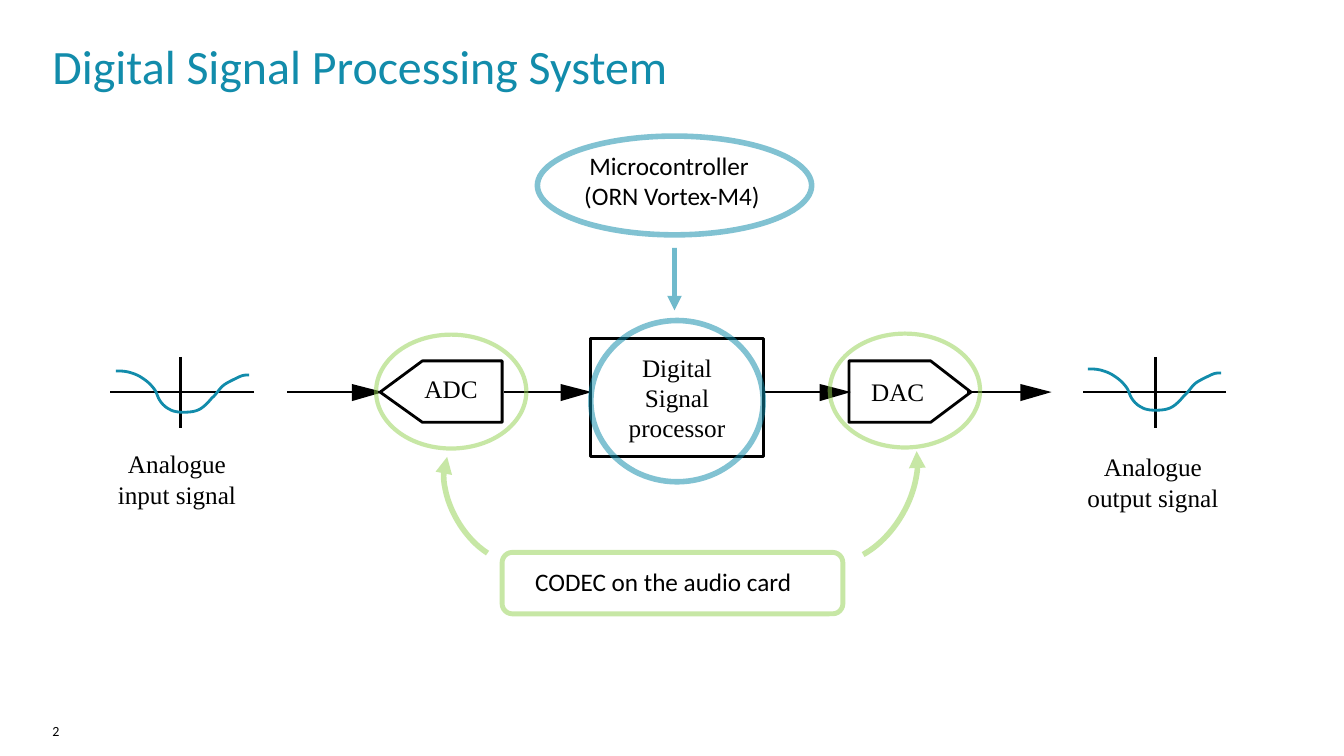
from dataclasses import dataclass

from lxml.etree import SubElement
from pptx import Presentation
from pptx.dml.color import RGBColor
from pptx.dml.line import LineFormat
from pptx.enum.shapes import MSO_CONNECTOR, MSO_SHAPE
from pptx.enum.text import MSO_ANCHOR, PP_ALIGN
from pptx.oxml.ns import qn
from pptx.shapes.autoshape import Shape
from pptx.shapes.connector import Connector
from pptx.slide import Slide
from pptx.util import Pt

PX = 9144
BLACK, WHITE, TEAL, GREEN = "000000", "FFFFFF", "128CAB", "92D050"
SANS, SERIF = "Calibri", "Times New Roman"
FLOW_Y = 389
WAVE = [(0, 0), (4, 0), (7, 0), (12, 1), (16, 2), (22, 4), (26, 7), (31, 10),
        (35, 14), (38, 18), (41, 22), (41, 26), (44, 30), (46, 33), (49, 36),
        (53, 38), (56, 40), (61, 41), (66, 41), (70, 41), (76, 41), (81, 39),
        (86, 37), (91, 32), (95, 27), (100, 23), (102, 18), (107, 14),
        (111, 11), (118, 8), (122, 6), (126, 4), (129, 4), (132, 4)]

Point = tuple[float, float]
Box = tuple[int, int, int, int]


@dataclass(frozen=True)
class Pen:
    """Colour, width in points and opacity in percent of an outline."""
    color: str
    width: float
    opacity: int = 100
    arrow: bool = False


@dataclass(frozen=True)
class Signal:
    """An analogue signal: its axes, its wave and its caption."""
    axis_x: int
    axis_left: int
    axis_right: int
    wave_left: int
    wave_top: int
    caption: str
    caption_left: int
    caption_top: int


@dataclass(frozen=True)
class Converter:
    """A pentagonal converter block with its label."""
    label: str
    flat_x: int
    shoulder_x: int
    tip_x: int
    label_left: int
    label_top: int


@dataclass(frozen=True)
class Marker:
    """A see-through outline that marks a part of the system."""
    kind: MSO_SHAPE
    box: Box
    pen: Pen


@dataclass(frozen=True)
class Bend:
    """A curved arrow with its rotation and its start and end adjustments."""
    box: Box
    rotation: float
    sweep: Point
    flipped: bool = False


AXIS_PEN, BLOCK_PEN, WAVE_PEN = Pen(BLACK, 1.5), Pen(BLACK, 2), Pen(TEAL, 2)
CODEC_PEN, CONTROLLER_PEN = Pen(GREEN, 3, 51), Pen(TEAL, 4, 53)
BEND_PEN = Pen(GREEN, 4, 51, arrow=True)

SIGNALS = [
    Signal(179, 109, 252, 115, 368, "Analogue input signal", 105, 445),
    Signal(1146, 1074, 1216, 1079, 366, "Analogue output signal", 1073, 448),
]
CONVERTERS = [
    Converter("ADC", 498, 419, 377, 421, 370),
    Converter("DAC", 842, 923, 963, 864, 373),
]
FLOWS = [(285, 380), (500, 587), (758, 844), (959, 1043)]
MARKERS = [
    Marker(MSO_SHAPE.OVAL, (373, 332, 149, 113), CODEC_PEN),
    Marker(MSO_SHAPE.OVAL, (823, 331, 149, 113), CODEC_PEN),
    Marker(MSO_SHAPE.ROUNDED_RECTANGLE, (498, 548, 338, 61), Pen(GREEN, 3.5, 51)),
    Marker(MSO_SHAPE.OVAL, (533, 135, 272, 98), CONTROLLER_PEN),
    Marker(MSO_SHAPE.OVAL, (586, 318, 171, 160), CONTROLLER_PEN),
]
BENDS = [
    Bend((422, 458, 131, 78), 239.4, (128.97, 207.28)),
    Bend((775, 437, 155, 98), 300.1, (127.98, 200.5), flipped=True),
]


def rgb(color: str) -> RGBColor:
    """Turn a hex string into a colour."""
    return RGBColor.from_string(color)


def apply_pen(line: LineFormat, pen: Pen) -> None:
    """Give a line its colour, width, opacity and arrowhead."""
    line.width = Pt(pen.width)
    line.color.rgb = rgb(pen.color)
    outline = line._get_or_add_ln()
    if pen.opacity < 100:
        color = outline.find(qn("a:solidFill")).find(qn("a:srgbClr"))
        SubElement(color, qn("a:alpha"), val=str(pen.opacity * 1000))
    if pen.arrow:
        SubElement(outline, qn("a:tailEnd"), type="triangle")


def style(shape: Shape, fill: str | None = None, pen: Pen | None = None) -> Shape:
    """Set the fill and outline of a shape and drop its shadow."""
    shape.shadow.inherit = False
    if fill:
        shape.fill.solid()
        shape.fill.fore_color.rgb = rgb(fill)
    else:
        shape.fill.background()
    if pen:
        apply_pen(shape.line, pen)
    else:
        shape.line.fill.background()
    return shape


def add_preset(slide: Slide, kind: MSO_SHAPE, box: Box, **look) -> Shape:
    """Draw a preset shape."""
    return style(slide.shapes.add_shape(kind, *(n * PX for n in box)), **look)


def add_outline(slide: Slide, points: list[Point], close: bool = True, **look) -> Shape:
    """Draw a shape through the given points."""
    first, *others = [(round(x * PX), round(y * PX)) for x, y in points]
    builder = slide.shapes.build_freeform(*first)
    builder.add_line_segments(others, close=close)
    return style(builder.convert_to_shape(), **look)


def add_line(slide: Slide, start: Point, end: Point, pen: Pen) -> Connector:
    """Draw a straight line."""
    ends = (n * PX for n in (*start, *end))
    line = slide.shapes.add_connector(MSO_CONNECTOR.STRAIGHT, *ends)
    apply_pen(line.line, pen)
    SubElement(line._element.spPr, qn("a:effectLst"))
    return line


def add_text(slide: Slide, text: str, box: Box, *, size: float = 18,
             font: str = SERIF, color: str = BLACK, align: PP_ALIGN = PP_ALIGN.LEFT,
             anchor: MSO_ANCHOR = MSO_ANCHOR.TOP, wrap: bool = True,
             inset: tuple[int, int] = (0, 0)) -> None:
    """Write text, one paragraph to each line."""
    frame = slide.shapes.add_textbox(*(n * PX for n in box)).text_frame
    frame.word_wrap, frame.vertical_anchor = wrap, anchor
    frame.margin_left = frame.margin_right = inset[0] * PX
    frame.margin_top = frame.margin_bottom = inset[1] * PX
    frame.text = text
    for paragraph in frame.paragraphs:
        paragraph.alignment = align
        for run in paragraph.runs:
            run.font.size, run.font.name = Pt(size), font
            run.font.color.rgb = rgb(color)


def curve(controls: list[Point], steps: int = 8) -> list[Point]:
    """Sample a chain of cubic Bezier curves."""
    points = [controls[0]]
    for first in range(0, len(controls) - 1, 3):
        corners = controls[first:first + 4]
        for step in range(1, steps + 1):
            t = step / steps
            weights = ((1 - t) ** 3, 3 * t * (1 - t) ** 2, 3 * t * t * (1 - t), t ** 3)
            points.append(tuple(sum(w * c[i] for w, c in zip(weights, corners))
                                for i in (0, 1)))
    return points


def add_signal(slide: Slide, signal: Signal) -> None:
    """Draw an analogue signal with its caption."""
    add_line(slide, (signal.axis_x, 354), (signal.axis_x, 425), AXIS_PEN)
    add_line(slide, (signal.axis_right, FLOW_Y), (signal.axis_left, FLOW_Y), AXIS_PEN)
    wave = [(signal.wave_left + x, signal.wave_top + y) for x, y in curve(WAVE)]
    add_outline(slide, wave, close=False, pen=WAVE_PEN)
    add_text(slide, signal.caption, (signal.caption_left, signal.caption_top, 141, 61),
             align=PP_ALIGN.CENTER)


def add_converter(slide: Slide, converter: Converter) -> None:
    """Draw a converter block with its label."""
    flat, shoulder = converter.flat_x, converter.shoulder_x
    corners = [(flat, 419), (flat, 358), (shoulder, 358),
               (converter.tip_x, FLOW_Y), (shoulder, 419)]
    add_outline(slide, corners, fill=WHITE, pen=BLOCK_PEN)
    add_text(slide, converter.label, (converter.label_left, converter.label_top, 53, 30),
             wrap=False)


def add_flow(slide: Slide, start: int, tip: int) -> None:
    """Draw a signal flow arrow with a long, solid head."""
    head = [(tip, FLOW_Y), (tip - 31, FLOW_Y + 9), (tip - 31, FLOW_Y - 8)]
    add_outline(slide, head, fill=BLACK)
    add_line(slide, (tip - 8, FLOW_Y), (start, FLOW_Y), BLOCK_PEN)


def add_bend(slide: Slide, bend: Bend) -> None:
    """Draw a curved arrow."""
    arc = add_preset(slide, MSO_SHAPE.ARC, bend.box, pen=BEND_PEN)
    arc.rotation = bend.rotation
    arc.adjustments[0], arc.adjustments[1] = bend.sweep
    if bend.flipped:
        arc._element.spPr.find(qn("a:xfrm")).set("flipV", "1")


def main() -> None:
    """Build the slide and save it."""
    deck = Presentation()
    deck.slide_width, deck.slide_height = 1333 * PX, 750 * PX
    slide = deck.slides.add_slide(deck.slide_layouts[6])
    add_text(slide, "2", (52, 717, 142, 26), size=10, font=SANS)
    add_text(slide, "Digital Signal Processing System", (52, 33, 1220, 63),
             size=34.2, font=SANS, color=TEAL, anchor=MSO_ANCHOR.MIDDLE)
    for converter in CONVERTERS:
        add_converter(slide, converter)
    add_preset(slide, MSO_SHAPE.RECTANGLE, (586, 336, 171, 117), fill=WHITE, pen=BLOCK_PEN)
    add_text(slide, "Digital\nSignal\nprocessor", (586, 349, 171, 151), align=PP_ALIGN.CENTER)
    for start, tip in FLOWS:
        add_flow(slide, start, tip)
    for signal in SIGNALS:
        add_signal(slide, signal)
    add_text(slide, "CODEC on the audio card", (521, 557, 296, 40),
             font=SANS, wrap=False, inset=(10, 5))
    add_text(slide, "Microcontroller \n(ORN Vortex-M4)", (561, 144, 211, 71),
             font=SANS, align=PP_ALIGN.CENTER, wrap=False, inset=(10, 5))
    for marker in MARKERS:
        add_preset(slide, marker.kind, marker.box, pen=marker.pen)
    for bend in BENDS:
        add_bend(slide, bend)
    add_line(slide, (669, 246), (669, 308), Pen(TEAL, 3.5, 60, arrow=True))
    deck.save("out.pptx")


if __name__ == "__main__":
    main()
